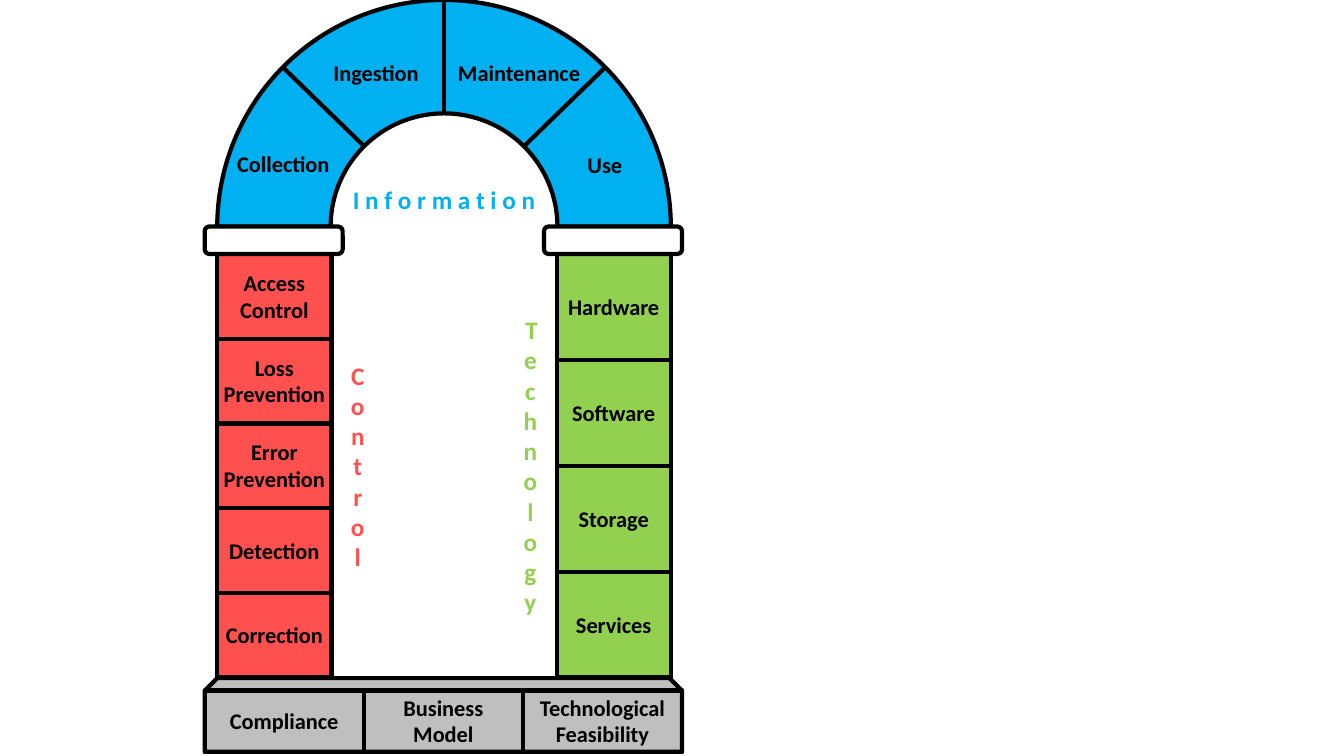
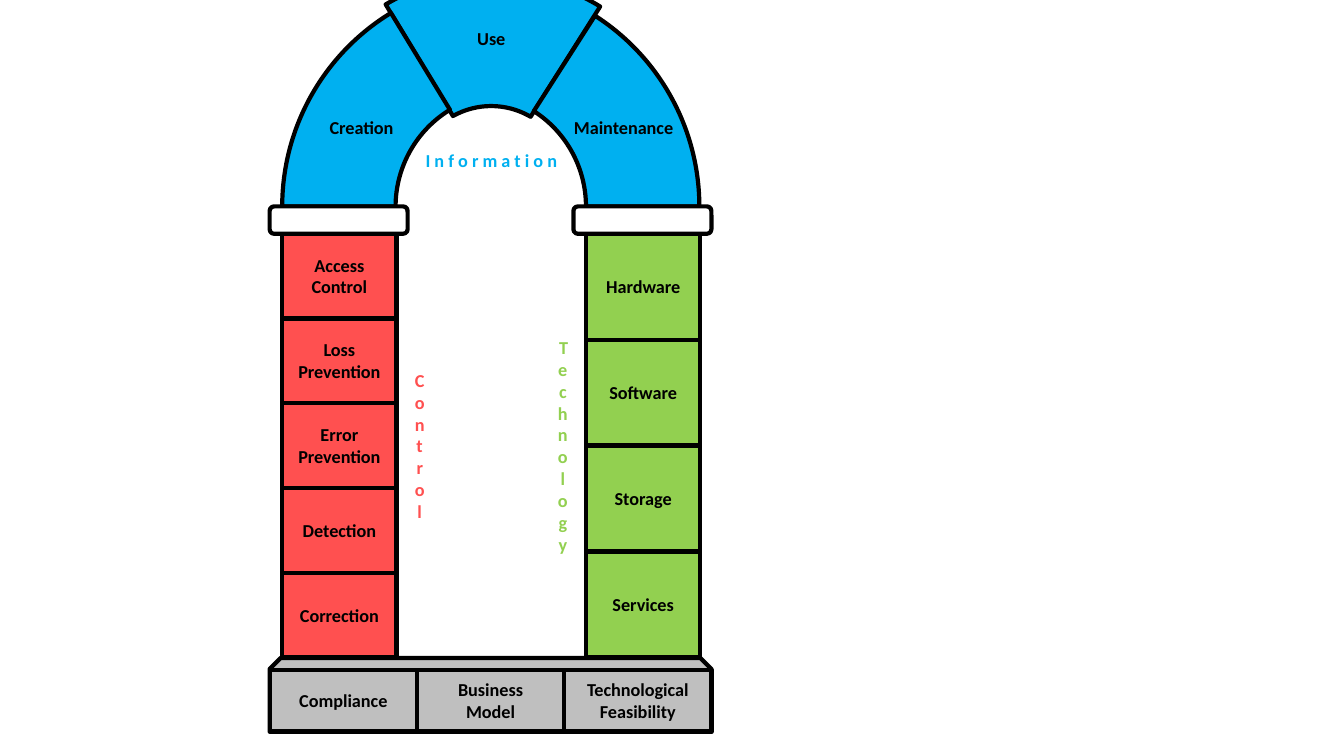
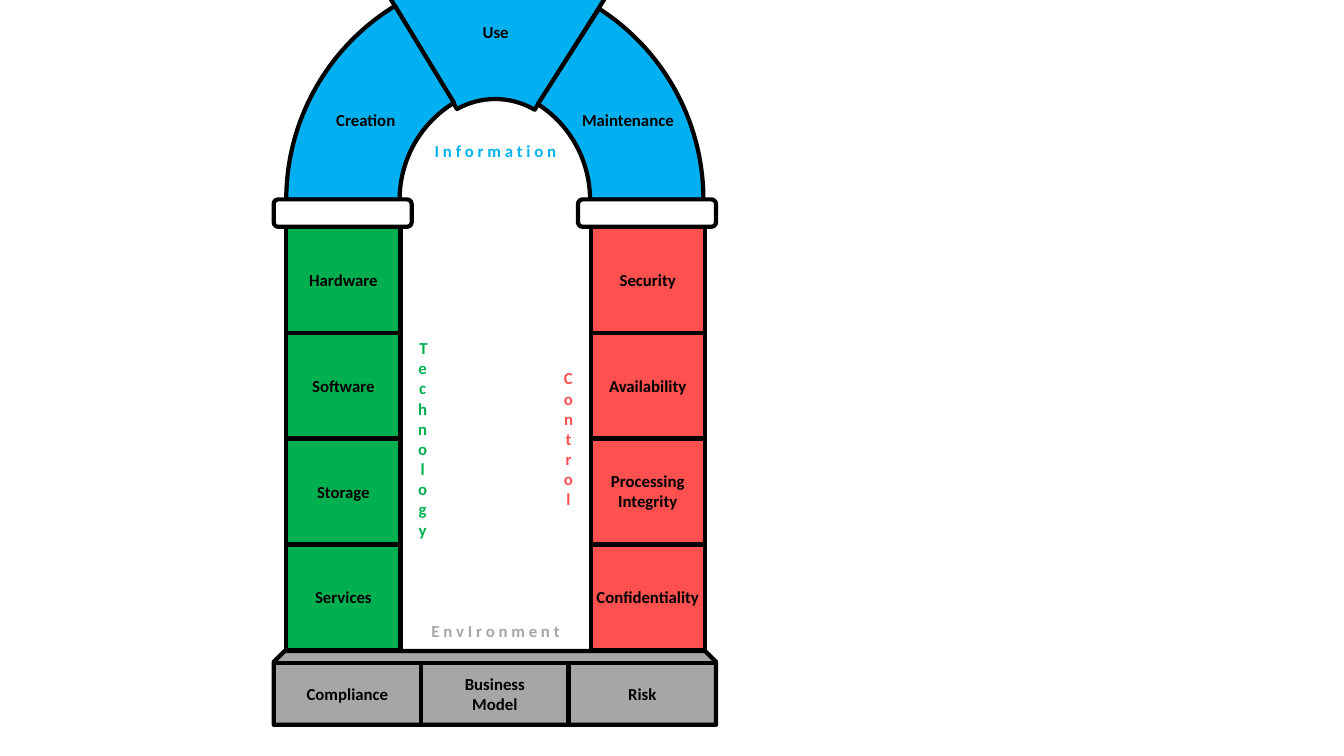
"""Builds three arch diagrams linking information, technology and control."""
from pptx import Presentation
from pptx import util as u
from pptx.dml import color
from pptx.enum import shapes, text
from pptx.oxml import ns, xmlchemy

COLOURS = {
    "ink": "000000", "cap": "FFFFFF", "information": "00B0F0", "control": "FF5050",
    "lime": "92D050", "green": "00B050", "silver": "BFBFBF", "grey": "A6A6A6",
}
FONT = "Calibri"
OUTLINE = 3
PILLAR_W, PILLAR_H = 81.6, 302.6
CAP_W, CAP_H, OVERHANG = 98.6, 19.6, 9
BASE_H, BEVEL_H = 52.6, 8.8
ARCH_SIZE, ARCH_RISE = 324, 181.4


class Arch:
    """Draws one arch on a new blank slide."""

    def __init__(self, deck, left, top, span, size):
        self.slide = deck.slides.add_slide(deck.slide_layouts[6])
        self.left, self.top, self.span, self.size = left, top, span, size
        self.centre = left + (span + PILLAR_W) / 2
        self.floor = top + PILLAR_H + 0.4

    def block(self, kind, x, y, w, h, fill=None, adjust=(), flip=False):
        """Adds an outlined shape."""
        block = self.slide.shapes.add_shape(kind, u.Pt(x), u.Pt(y), u.Pt(w), u.Pt(h))
        block.shadow.inherit = False
        block.line.color.rgb = color.RGBColor.from_string(COLOURS["ink"])
        block.line.width = u.Pt(OUTLINE)
        if fill:
            block.fill.solid()
            block.fill.fore_color.rgb = color.RGBColor.from_string(COLOURS[fill])
        else:
            block.fill.background()
        for index, value in enumerate(adjust):
            block.adjustments[index] = value
        if flip:
            block._element.spPr.find(ns.qn("a:xfrm")).set("flipH", "1")

    def joint(self, x1, y1, x2, y2):
        """Adds a line placed from the arch centre and springing level."""
        joint = self.slide.shapes.add_connector(
            shapes.MSO_CONNECTOR.STRAIGHT,
            u.Pt(self.centre + x1), u.Pt(self.top + y1),
            u.Pt(self.centre + x2), u.Pt(self.top + y2))
        joint.line.color.rgb = color.RGBColor.from_string(COLOURS["ink"])
        joint.line.width = u.Pt(OUTLINE)
        joint._element.spPr.append(xmlchemy.OxmlElement("a:effectLst"))

    def label(self, words, x, y, w, colour="ink", h=None):
        """Adds bold text centred on a point, stacked upright when h is given."""
        height = h or 7.2 + 1.22 * self.size * (words.count("\v") + 1)
        box = self.slide.shapes.add_textbox(
            u.Pt(x - w / 2), u.Pt(y - height / 2), u.Pt(w), u.Pt(height))
        frame = box.text_frame
        frame.word_wrap = True
        frame.auto_size = text.MSO_AUTO_SIZE.SHAPE_TO_FIT_TEXT
        if h:
            frame._txBody.bodyPr.set("vert", "wordArtVert")
        frame.text = words
        paragraph = frame.paragraphs[0]
        paragraph.alignment = text.PP_ALIGN.CENTER
        for run in paragraph.runs:
            run.font.name = FONT
            run.font.size = u.Pt(self.size)
            run.font.bold = True
            run.font.color.rgb = color.RGBColor.from_string(COLOURS[colour])

    def vault(self, arcs):
        """Adds the curved segments."""
        for dx, dy, w, h, adjust, flip in arcs:
            self.block(shapes.MSO_SHAPE.BLOCK_ARC, self.left + dx, self.top + dy,
                       w, h, "information", adjust, flip)

    def stages(self, labels):
        """Names the segments of the vault."""
        for words, dx, dy, w in labels:
            self.label(words, self.centre + dx, self.top + dy, w)

    def pillar(self, side, colour, cells, title, title_h):
        """Adds a capped pillar, its equal cells and its upright title."""
        x = self.left + side * self.span
        self.block(shapes.MSO_SHAPE.RECTANGLE, x, self.top, PILLAR_W, PILLAR_H, colour)
        self.block(shapes.MSO_SHAPE.ROUNDED_RECTANGLE, x - OVERHANG, self.top - CAP_H,
                   CAP_W, CAP_H, "cap")
        cell_h = PILLAR_H / len(cells)
        for row, (words, w) in enumerate(cells):
            y = self.top + row * cell_h
            self.block(shapes.MSO_SHAPE.RECTANGLE, x, y, PILLAR_W, cell_h)
            self.label(words, x + PILLAR_W / 2, y + cell_h / 2, w)
        title_w = 1.44 * self.size + 14.4
        title_x = x - title_w / 2 if side else x + PILLAR_W + title_w / 2
        self.label(title, title_x, self.top + PILLAR_H / 2, title_w, colour, title_h)

    def base(self, colour, cells, snip):
        """Adds the bevelled base with equal cells."""
        x, width = self.left - OVERHANG, self.span + CAP_W
        self.block(shapes.MSO_SHAPE.SNIP_2_SAME_RECTANGLE, x, self.floor, width, BASE_H,
                   colour, (snip, 0))
        cell_w, cell_h = width / len(cells), BASE_H - BEVEL_H
        for column, (words, w) in enumerate(cells):
            cell_x, y = x + column * cell_w, self.floor + BEVEL_H
            self.block(shapes.MSO_SHAPE.RECTANGLE, cell_x, y, cell_w, cell_h)
            self.label(words, cell_x + cell_w / 2, y + cell_h / 2, w)


KEYSTONE_VAULT = [
    (2, -184.3, 294.5, 290.9, (142.66, 180.66, 0.32), True),
    (-26, -ARCH_RISE, ARCH_SIZE, ARCH_SIZE, (108, 142.4, 0.25), True),
    (0, -ARCH_RISE, ARCH_SIZE, ARCH_SIZE, (108, 143.18, 0.25), False),
]
KEYSTONE_STAGES = [("Use", 0, -139.4, 38), ("Maintenance", 94.5, -76, 87),
                   ("Creation", -92.7, -76, 62)]
HARDWARE_STACK = [("Hardware", 68), ("Software", 64), ("Storage", 56), ("Services", 60)]
WIDE_STACK = [(words, 92.2) for words, _ in HARDWARE_STACK]
SAFEGUARDS = [("Access\vControl", 56), ("Loss\vPrevention", 74), ("Error\vPrevention", 74),
              ("Detection", 68), ("Correction", 73)]
WIDE_SAFEGUARDS = [(words, 98.6) for words, _ in SAFEGUARDS]
ASSURANCES = [("Security", 56), ("Availability", 72), ("Processing\vIntegrity", 69),
              ("Confidentiality", 90)]
FOUNDATIONS = [("Compliance", 79), ("Business\vModel", 62), ("Technological\vFeasibility", 88)]
RISK_FOUNDATIONS = FOUNDATIONS[:2] + [("Risk", 88)]
INFORMATION = "I n f o r m a t i o n"

deck = Presentation()
deck.slide_width, deck.slide_height = u.Pt(960), u.Pt(540)

lifecycle = Arch(deck, 155.2, 181.4, 242.4, 18)
lifecycle.vault([(0, -ARCH_RISE, ARCH_SIZE, ARCH_SIZE, (), False)])
lifecycle.joint(0, -ARCH_RISE, 0, -101.4)
for direction in (1, -1):
    lifecycle.joint(direction * 115, -133.2, direction * 58, -77.8)
lifecycle.label(INFORMATION, lifecycle.centre, lifecycle.top - 39, 156, "information")
lifecycle.size = 16
lifecycle.stages([("Collection", -114.8, -64.4, 92.2), ("Ingestion", -48.6, -129.2, 92.2),
                  ("Use", 114.8, -63.7, 92.2), ("Maintenance", 53.6, -129.2, 117)])
lifecycle.base("silver", [(words, 123) for words, _ in FOUNDATIONS], 0.17)


def raise_pillars(arch, left, right, title_size):
    """Adds both pillars, with titles in their own size."""
    cell_size = arch.size
    draw_label = arch.label

    def sized_label(words, x, y, w, colour="ink", h=None):
        """Switches to the title size for upright text."""
        arch.size = title_size if h else cell_size
        draw_label(words, x, y, 1.44 * title_size + 14.4 if h else w, colour, h)
        arch.size = cell_size

    arch.label = sized_label
    arch.pillar(0, *left)
    arch.pillar(1, *right)
    arch.label = draw_label


raise_pillars(lifecycle, ("control", WIDE_SAFEGUARDS, "Control", 188),
              ("lime", WIDE_STACK, "Technology", 268.6), 18)

keystone = Arch(deck, 201.6, 167, 217, 13)
keystone.vault(KEYSTONE_VAULT)
keystone.pillar(0, "control", SAFEGUARDS, "Control", 137.5)
keystone.pillar(1, "lime", HARDWARE_STACK, "Technology", 194.4)
keystone.base("silver", FOUNDATIONS, 0.15)
keystone.label(INFORMATION, keystone.centre, keystone.top - 52.6, 110, "information")
keystone.stages(KEYSTONE_STAGES)

assurance = Arch(deck, 204.5, 162, 217.4, 12)
assurance.vault(KEYSTONE_VAULT)
assurance.pillar(0, "green", HARDWARE_STACK, "Technology", 194.4)
assurance.pillar(1, "control", ASSURANCES, "Control", 137.5)
assurance.base("grey", RISK_FOUNDATIONS, 0.15)
assurance.label(INFORMATION, assurance.centre, assurance.top - 54, 110, "information")
assurance.label("E n v I r o n m e n t", assurance.centre, assurance.floor - 14.4, 110, "grey")
assurance.stages(KEYSTONE_STAGES)

deck.save("out.pptx")
